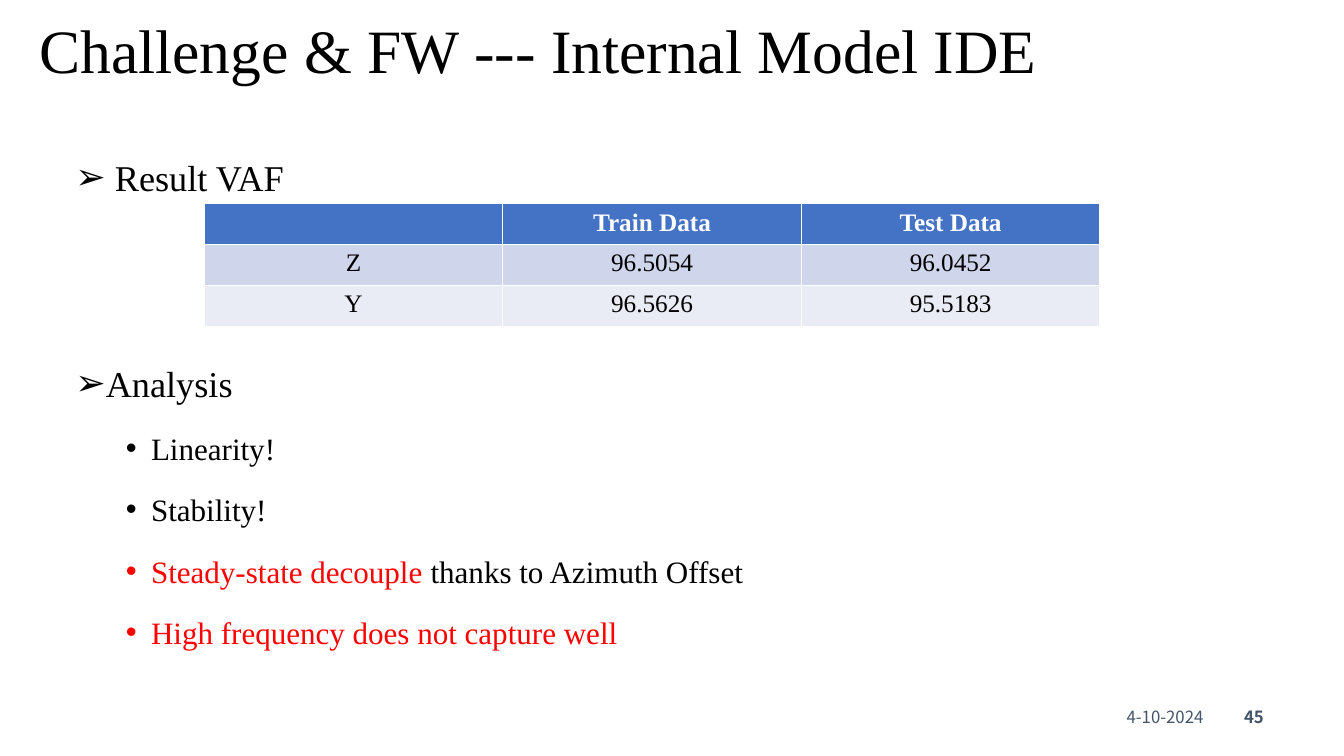
from lxml import etree
from pptx import Presentation
from pptx.dml.color import RGBColor
from pptx.enum import text as t
from pptx.oxml.ns import qn
from pptx.util import Pt

SERIF = "Times New Roman"
SANS = "Noto Sans CJK SC"
BLACK, RED, WHITE, SLATE = "000000", "FF0000", "FFFFFF", "44546A"
HEADER_FILL, BAND_FILLS = "4472C4", ("CFD5EA", "E9EBF5")

RESULTS = [
    ("", "Train Data", "Test Data"),
    ("Z", "96.5054", "96.0452"),
    ("Y", "96.5626", "95.5183"),
]

# level, space before, runs as (text, colour)
OUTLINE = [
    (2, 0, [(" Result VAF", BLACK)]),
    (2, 102, [("Analysis", BLACK)]),
    (3, 5, [("Linearity!", BLACK)]),
    (3, 5, [("Stability!", BLACK)]),
    (3, 5, [("Steady-state decouple", RED), (" thanks to Azimuth Offset", BLACK)]),
    (3, 5, [("High frequency does not capture well", RED)]),
]
# level: bullet, text indent, text size
LEVELS = {2: ("➢", 90, 25.9), 3: ("•", 126, 22.2)}


def rgb(value):
    return RGBColor.from_string(value)


def style(font, size, color, name=SERIF, bold=False):
    font.size, font.name, font.bold = Pt(size), name, bold
    font.color.rgb = rgb(color)


def set_bullet(paragraph, char, indent, hang=18):
    props = paragraph._p.get_or_add_pPr()
    props.set("marL", str(Pt(indent)))
    props.set("indent", str(-Pt(hang)))
    etree.SubElement(props, qn("a:buFont")).set("typeface", "Arial")
    etree.SubElement(props, qn("a:buChar")).set("char", char)


def add_title(slide, words):
    title = slide.shapes.title
    title.left, title.top, title.width, title.height = Pt(20.9), Pt(8.6), Pt(828), Pt(59)
    frame = title.text_frame
    frame.text = words
    frame.auto_size = t.MSO_AUTO_SIZE.NONE
    frame.vertical_anchor = t.MSO_ANCHOR.MIDDLE
    heading = frame.paragraphs[0]
    heading.alignment = t.PP_ALIGN.LEFT
    heading.line_spacing = 0.9
    style(heading.runs[0].font, 44, BLACK)


def add_outline(slide):
    box = slide.shapes.add_textbox(Pt(-25.2), Pt(93), Pt(905.8), Pt(370))
    frame = box.text_frame
    frame.word_wrap = True
    for i, (level, before, runs) in enumerate(OUTLINE):
        paragraph = frame.add_paragraph() if i else frame.paragraphs[0]
        char, indent, size = LEVELS[level]
        set_bullet(paragraph, char, indent)
        paragraph.level = level
        paragraph.line_spacing = 1.46
        paragraph.space_before = Pt(before)
        for words, color in runs:
            run = paragraph.add_run()
            run.text = words
            style(run.font, size, color)


def add_results(slide):
    rows, cols = len(RESULTS), len(RESULTS[0])
    table = slide.shapes.add_table(
        rows, cols, Pt(145.8), Pt(145.4), Pt(640), Pt(87.6)).table
    for r, values in enumerate(RESULTS):
        header = r == 0
        for c, value in enumerate(values):
            cell = table.cell(r, c)
            cell.fill.solid()
            cell.fill.fore_color.rgb = rgb(HEADER_FILL if header else BAND_FILLS[r - 1])
            cell.text_frame.text = value
            paragraph = cell.text_frame.paragraphs[0]
            paragraph.alignment = t.PP_ALIGN.CENTER
            style(paragraph.font, 18, WHITE if header else BLACK, bold=header)
            for run in paragraph.runs:
                style(run.font, 18, WHITE if header else BLACK, bold=header)


def add_footer(slide, words, left, width, bold=False):
    frame = slide.shapes.add_textbox(Pt(left), Pt(504.7), Pt(width), Pt(14.4)).text_frame
    frame.margin_left = frame.margin_top = frame.margin_right = frame.margin_bottom = 0
    frame.word_wrap = False
    frame.vertical_anchor = t.MSO_ANCHOR.MIDDLE
    frame.text = words
    paragraph = frame.paragraphs[0]
    paragraph.alignment = t.PP_ALIGN.RIGHT
    style(paragraph.runs[0].font, 12, SLATE, SANS, bold)


def main():
    deck = Presentation()
    deck.slide_width, deck.slide_height = Pt(960), Pt(540)
    slide = deck.slides.add_slide(deck.slide_layouts[5])
    add_title(slide, "Challenge & FW --- Internal Model IDE")
    add_outline(slide)
    add_results(slide)
    add_footer(slide, "4-10-2024", 799.2, 60.5)
    add_footer(slide, "45", 879.8, 23, bold=True)
    deck.save("out.pptx")


if __name__ == "__main__":
    main()
